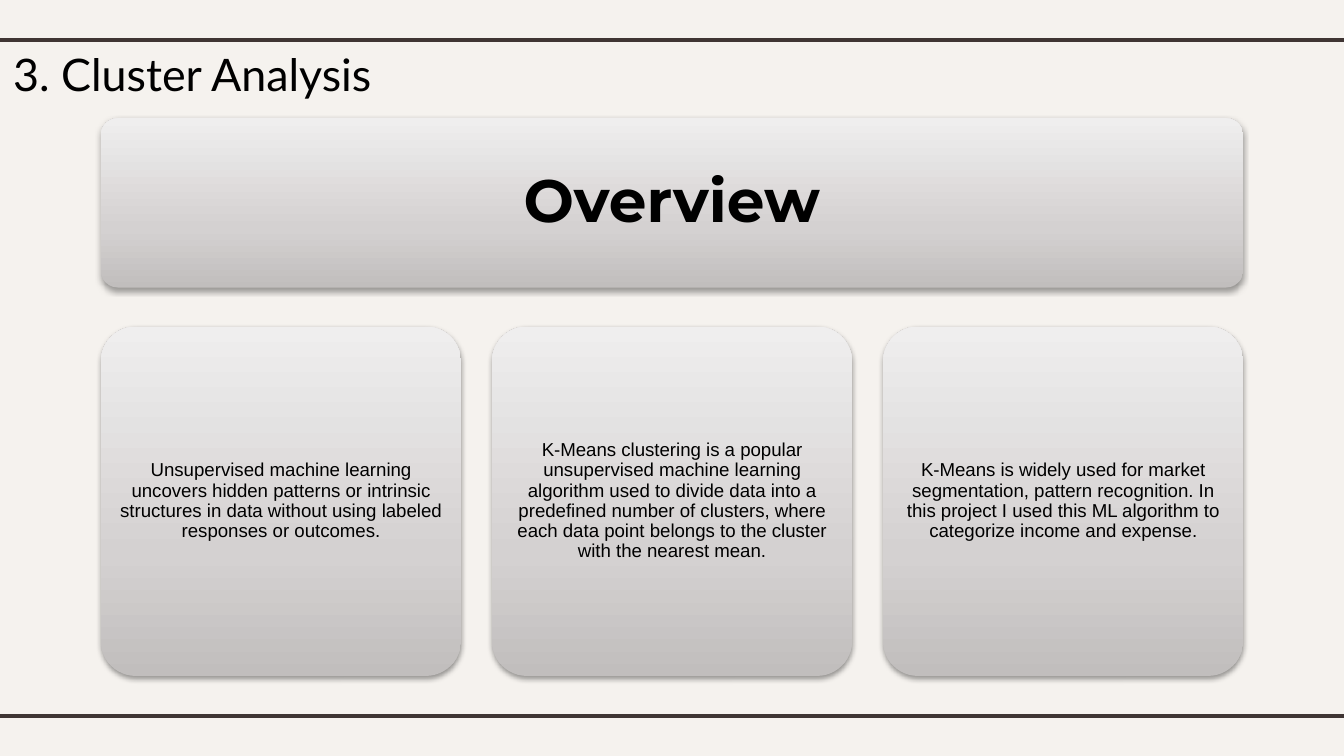
"""Build the cluster analysis overview slide."""
from lxml.etree import SubElement
from pptx import Presentation
from pptx.dml.color import RGBColor
from pptx.enum.shapes import MSO_CONNECTOR, MSO_SHAPE
from pptx.enum.text import MSO_ANCHOR, PP_ALIGN
from pptx.oxml import parse_xml
from pptx.oxml.ns import nsdecls, qn
from pptx.util import Inches, Pt

PAPER = RGBColor(0xF5, 0xF2, 0xEE)
RULE = RGBColor(0x3F, 0x35, 0x33)
BLACK = RGBColor(0, 0, 0)
STOPS = [
    (0, RGBColor(0xC1, 0xBE, 0xBD)),
    (35, RGBColor(0xD4, 0xD1, 0xD1)),
    (100, RGBColor(0xEF, 0xEE, 0xEE)),
]
LEFT, COL, GAP = 0.75, 2.68, 0.23
CARDS = [
    "Unsupervised machine learning uncovers hidden patterns or intrinsic structures "
    "in data without using labeled responses or outcomes.",
    "K-Means clustering is a popular unsupervised machine learning algorithm used to "
    "divide data into a predefined number of clusters, where each data point belongs "
    "to the cluster with the nearest mean.",
    "K-Means is widely used for market segmentation, pattern recognition. In this "
    "project I used this ML algorithm to categorize income and expense.",
]


def write(sp, text, inset, para, font):
    tf = sp.text_frame
    tf.word_wrap = True
    for side in ("left", "top", "right", "bottom"):
        setattr(tf, f"margin_{side}", Inches(inset))
    p = tf.paragraphs[0]
    r = p.add_run()
    r.text = text
    r.font.color.rgb = BLACK
    for target, values in ((p, para), (r.font, font)):
        for name, value in values.items():
            setattr(target, name, value)


def style_panel(sp):
    pr = sp.element.spPr
    grad = SubElement(pr, qn("a:gradFill"), rotWithShape="1")
    stops = SubElement(grad, qn("a:gsLst"))
    for pos, color in STOPS:
        gs = SubElement(stops, qn("a:gs"), pos=str(pos * 1000))
        SubElement(gs, qn("a:srgbClr"), val=str(color))
    SubElement(grad, qn("a:lin"), ang="16200000", scaled="0")
    sp.line.fill.background()
    pr.append(parse_xml(
        f'<a:effectLst {nsdecls("a")}><a:outerShdw blurRad="{Pt(3.1)}" dist="{Pt(1.6)}" '
        'dir="5400000" rotWithShape="0"><a:srgbClr val="000000"><a:alpha val="38000"/>'
        '</a:srgbClr></a:outerShdw></a:effectLst>'))


prs = Presentation()
prs.slide_width = Inches(10)
prs.slide_height = prs.slide_width * 9 // 16
s = prs.slides.add_slide(prs.slide_layouts[6])
s.background.fill.solid()
s.background.fill.fore_color.rgb = PAPER

for y in (0.3, 5.33):
    line = s.shapes.add_connector(
        MSO_CONNECTOR.STRAIGHT, Inches(-0.08), Inches(y), Inches(10.08), Inches(y))
    line.line.color.rgb = RULE
    line.line.width = Pt(2.25)
    SubElement(line.element.spPr, qn("a:effectLst"))

title = s.shapes.add_textbox(0, Inches(0.25), Inches(7.21), Inches(0.54))
write(title, "3. Cluster Analysis", 0.1, {}, {"name": "Lato", "size": Pt(24)})

centred = {"alignment": PP_ALIGN.CENTER, "line_spacing": 0.9}
heading = {"name": "Montserrat", "size": Pt(32), "bold": True}
body = {"name": "Arial", "size": Pt(10)}
panels = [("Overview", LEFT, 0.88, 3 * COL + 2 * GAP, 1.26, 0.13, heading)]
panels += [(text, LEFT + i * (COL + GAP), 2.43, COL, 2.6, 0.04, body)
           for i, text in enumerate(CARDS)]

for text, x, y, w, h, inset, font in panels:
    sp = s.shapes.add_shape(
        MSO_SHAPE.ROUNDED_RECTANGLE, Inches(x), Inches(y), Inches(w), Inches(h))
    sp.adjustments[0] = 0.1
    style_panel(sp)
    write(sp, text, inset, centred, font)
    sp.text_frame.vertical_anchor = MSO_ANCHOR.MIDDLE

prs.save("out.pptx")
